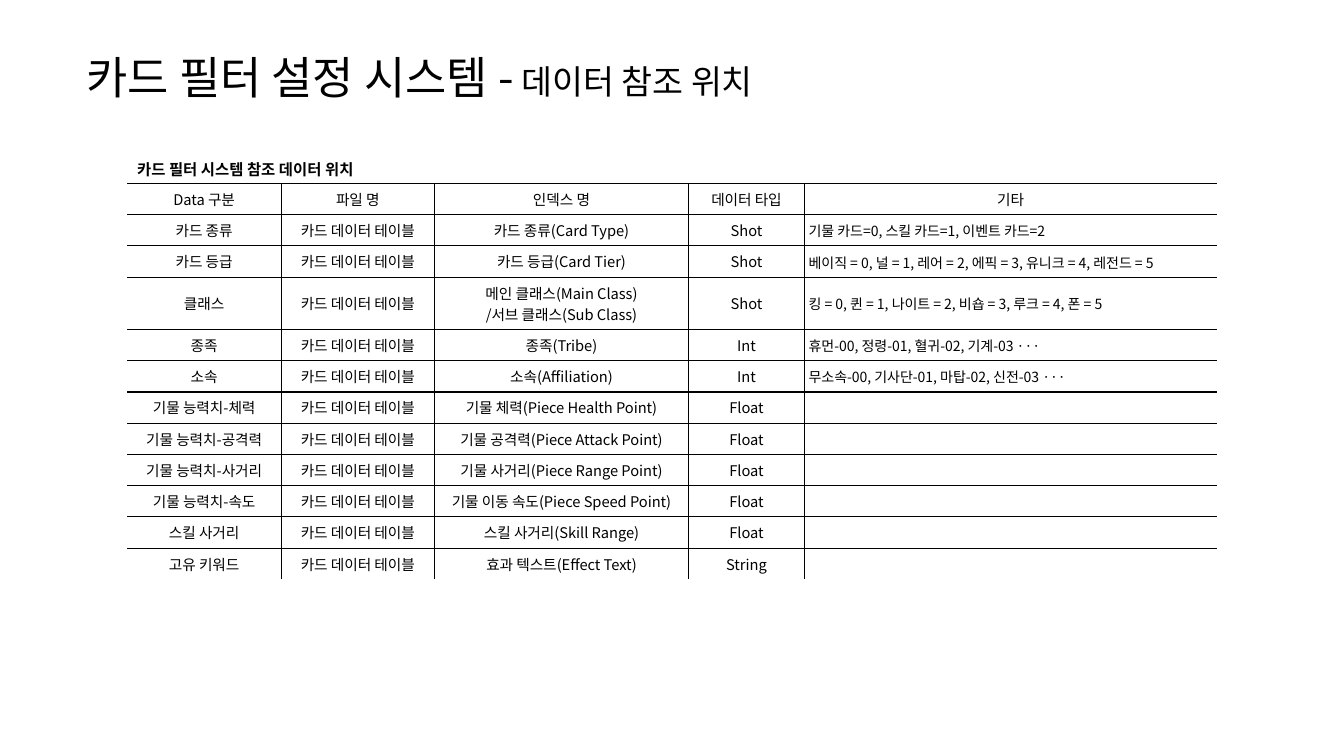
"""Build the slide listing where the card filter system reads its data."""
from lxml import etree
from pptx import Presentation
from pptx.dml.color import RGBColor
from pptx.enum.text import MSO_ANCHOR, PP_ALIGN
from pptx.oxml.ns import qn
from pptx.util import Inches, Pt

MIDDLE, TOP = MSO_ANCHOR.MIDDLE, MSO_ANCHOR.TOP
CENTER, LEFT = PP_ALIGN.CENTER, PP_ALIGN.LEFT

FONT = "Noto Sans CJK KR"
COLORS = {"ink": "000000", "paper": "FFFFFF"}
TITLE = [("카드 필터 설정 시스템 -", 32), (" 데이터 참조 위치", 24)]
CAPTION = "카드 필터 시스템 참조 데이터 위치"
HEADINGS = ["Data 구분", "파일 명", "인덱스 명", "데이터 타입", "기타"]
FILE_NAME = "카드 데이터 테이블"
FIELDS = [
    ("카드 종류", "카드 종류(Card Type)", "Shot", " 기물 카드=0, 스킬 카드=1, 이벤트 카드=2"),
    ("카드 등급", "카드 등급(Card Tier)", "Shot",
     " 베이직 = 0, 널 = 1, 레어 = 2, 에픽 = 3, 유니크 = 4, 레전드 = 5"),
    ("클래스", "메인 클래스(Main Class)\n/서브 클래스(Sub Class)", "Shot",
     " 킹 = 0, 퀸 = 1, 나이트 = 2, 비숍 = 3, 루크 = 4, 폰 = 5"),
    ("종족", "종족(Tribe)", "Int", " 휴먼-00, 정령-01, 혈귀-02, 기계-03 ···"),
    ("소속", "소속(Affiliation)", "Int", " 무소속-00, 기사단-01, 마탑-02, 신전-03 ···"),
    ("기물 능력치-체력", "기물 체력(Piece Health Point)", "Float", ""),
    ("기물 능력치-공격력", "기물 공격력(Piece Attack Point)", "Float", ""),
    ("기물 능력치-사거리", "기물 사거리(Piece Range Point)", "Float", ""),
    ("기물 능력치-속도", "기물 이동 속도(Piece Speed Point)", "Float", ""),
    ("스킬 사거리", "스킬 사거리(Skill Range)", "Float", ""),
    ("고유 키워드", "효과 텍스트(Effect Text)", "String", ""),
]
COLUMN_WIDTHS = [1.53, 1.52, 2.52, 1.15, 4.09]
LINE_HEIGHT, CELL_PADDING = 0.21, 0.1


def add_run(paragraph, text, size, bold=False):
    run = paragraph.add_run()
    run.text = text
    font = run.font
    font.size, font.bold, font.name = Pt(size), bold, FONT
    font.color.rgb = RGBColor.from_string(COLORS["ink"])
    etree.SubElement(font._element, qn("a:ea")).set("typeface", FONT)


def set_borders(cell, visible):
    properties = cell._tc.get_or_add_tcPr()
    for position, side in enumerate("LRTB"):
        line = etree.Element(qn(f"a:ln{side}"), w=str(Pt(1)))
        if side in visible:
            fill = etree.SubElement(line, qn("a:solidFill"))
            etree.SubElement(fill, qn("a:srgbClr"), val=COLORS["ink"])
        else:
            etree.SubElement(line, qn("a:noFill"))
        properties.insert(position, line)


def fill_cell(cell, text, size, bold, align, anchor):
    cell.vertical_anchor = anchor
    frame = cell.text_frame
    for number, line in enumerate(text.split("\n")):
        paragraph = frame.add_paragraph() if number else frame.paragraphs[0]
        paragraph.alignment = align
        if line:
            add_run(paragraph, line, size, bold)
        else:
            etree.SubElement(paragraph._p, qn("a:endParaRPr"), sz=str(size * 100))


def add_title(slide):
    box = slide.shapes.add_textbox(Inches(0.76), Inches(0.4), Inches(11.81), Inches(0.71))
    frame = box.text_frame
    frame.word_wrap = True
    frame.vertical_anchor = MIDDLE
    for text, size in TITLE:
        add_run(frame.paragraphs[0], text, size)


def add_field_table(slide):
    rows = [[CAPTION, "", "", "", ""], HEADINGS]
    rows += [[name, FILE_NAME, *details] for name, *details in FIELDS]
    heights = [LINE_HEIGHT * max(text.count("\n") + 1 for text in row) + CELL_PADDING
               for row in rows]
    last_row, last_column = len(rows) - 1, len(COLUMN_WIDTHS) - 1
    table = slide.shapes.add_table(
        len(rows), len(COLUMN_WIDTHS), Inches(1.26), Inches(1.51),
        Inches(sum(COLUMN_WIDTHS)), Inches(sum(heights))).table
    table.first_row = table.horz_banding = False
    for column, width in zip(table.columns, COLUMN_WIDTHS):
        column.width = Inches(width)
    for row, height in zip(table.rows, heights):
        row.height = Inches(height)
    table.cell(0, 0).merge(table.cell(0, last_column))

    for row_index, row in enumerate(rows):
        for column_index, text in enumerate(row):
            cell = table.cell(row_index, column_index)
            cell.fill.background()
            caption = row_index == 0
            note = row_index > 1 and column_index == last_column
            visible = "B" if row_index < last_row else ""
            if not caption:
                visible += "T"
                visible += "L" if column_index else ""
                visible += "R" if column_index < last_column else ""
            set_borders(cell, visible)
            if note:
                cell.margin_left = cell.margin_right = cell.margin_top = Inches(0.01)
                cell.margin_bottom = 0
            size = 11 if caption else 10 if note else 10.5
            fill_cell(cell, text, size, caption, LEFT if caption or note else CENTER,
                      TOP if caption else MIDDLE)


def main():
    presentation = Presentation()
    presentation.slide_width, presentation.slide_height = Inches(13.33), Inches(7.5)
    slide = presentation.slides.add_slide(presentation.slide_layouts[6])
    slide.background.fill.solid()
    slide.background.fill.fore_color.rgb = RGBColor.from_string(COLORS["paper"])
    add_title(slide)
    add_field_table(slide)
    presentation.save("out.pptx")


if __name__ == "__main__":
    main()
